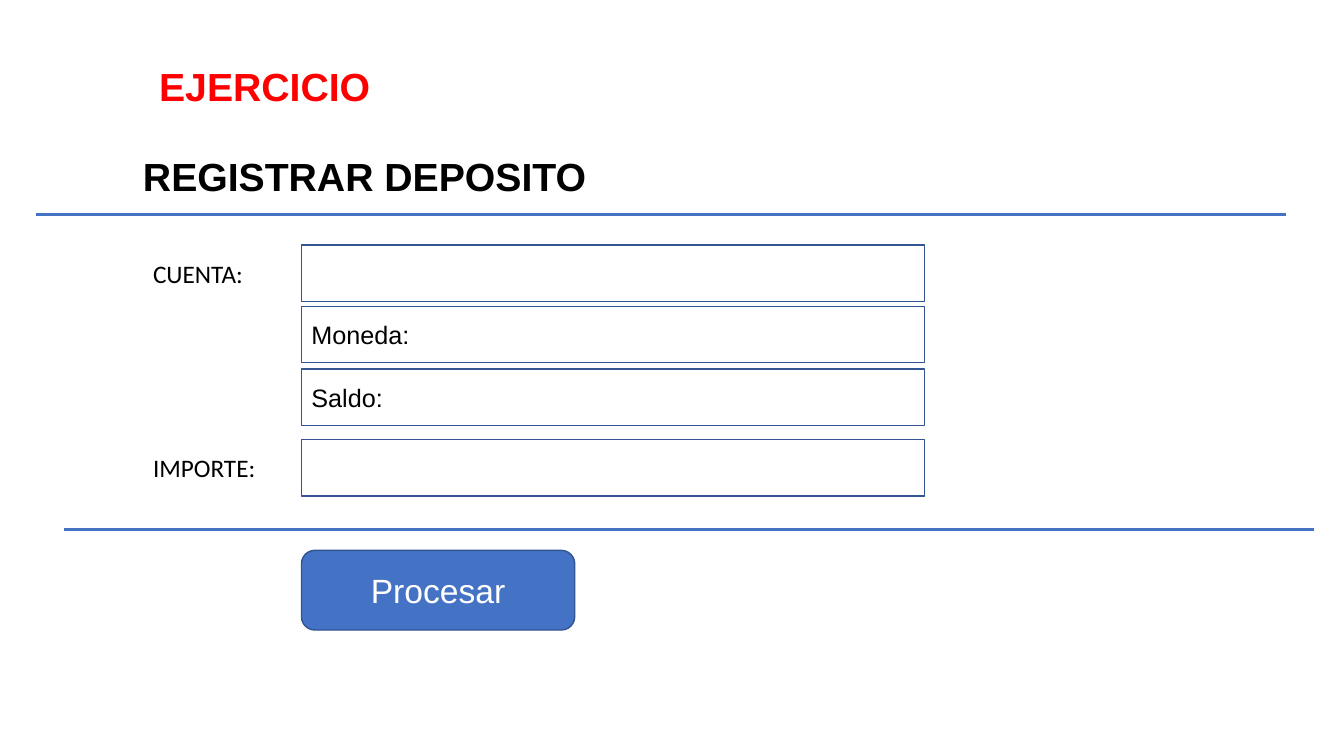
"""Build the deposit registration form slide."""
from dataclasses import dataclass

from lxml.etree import SubElement
from pptx import Presentation
from pptx.dml.color import RGBColor
from pptx.enum.shapes import MSO_CONNECTOR, MSO_SHAPE as Preset
from pptx.enum.text import MSO_ANCHOR as Anchor, MSO_AUTO_SIZE as AutoSize, PP_ALIGN as Align
from pptx.oxml.ns import qn
from pptx.slide import Slide
from pptx.text.text import TextFrame
from pptx.util import Inches, Pt

COLORS = {
    "black": "000000",
    "white": "FFFFFF",
    "red": "FF0000",
    "blue": "4472C4",
    "border": "325491",
}
FIELD_LEFT = 2.99


@dataclass
class Label:
    text: str
    left: float
    top: float
    width: float
    height: float
    size: int = 18
    font: str = "Calibri"
    color: str = "black"
    bold: bool = False
    wrap: bool = False


@dataclass
class Panel:
    text: str
    top: float
    width: float = 6.18
    height: float = 0.56
    preset: Preset = Preset.RECTANGLE
    fill: str = "white"
    color: str = "black"
    size: int = 18
    align: Align = Align.LEFT


@dataclass
class Divider:
    left: float
    right: float
    top: float


LABELS = [
    Label("EJERCICIO", 1.48, 0.57, 2.32, 0.57, 28, "Arial", "red", True),
    Label("REGISTRAR DEPOSITO", 1.32, 1.46, 7.76, 0.57, 28, "Arial", bold=True, wrap=True),
    Label("CUENTA:", 1.42, 2.51, 1.1, 0.4),
    Label("IMPORTE:", 1.42, 4.44, 1.23, 0.4),
]
PANELS = [
    Panel("", 2.43),
    Panel("Moneda: ", 3.04),
    Panel("Saldo: ", 3.66),
    Panel("", 4.36),
    Panel("Procesar", 5.46, 2.71, 0.79, Preset.ROUNDED_RECTANGLE, "blue", "white", 24, Align.CENTER),
]
DIVIDERS = [Divider(0.36, 12.75, 2.13), Divider(0.63, 13.03, 5.25)]


def rgb(name: str) -> RGBColor:
    return RGBColor.from_string(COLORS[name])


def write(frame: TextFrame, text: str, size: int, font: str, color: str,
          bold: bool = False, align: Align = Align.LEFT) -> None:
    para = frame.paragraphs[0]
    para.text = text
    para.alignment = align
    para.font.size = Pt(size)
    para.font.name = font
    para.font.bold = bold
    para.font.color.rgb = rgb(color)


def add_label(page: Slide, label: Label) -> None:
    box = page.shapes.add_textbox(
        Inches(label.left), Inches(label.top), Inches(label.width), Inches(label.height))
    frame = box.text_frame
    frame.word_wrap = label.wrap
    frame.auto_size = AutoSize.SHAPE_TO_FIT_TEXT
    write(frame, label.text, label.size, label.font, label.color, label.bold)


def add_panel(page: Slide, panel: Panel) -> None:
    box = page.shapes.add_shape(
        panel.preset, Inches(FIELD_LEFT), Inches(panel.top),
        Inches(panel.width), Inches(panel.height))
    box.shadow.inherit = False
    box.fill.solid()
    box.fill.fore_color.rgb = rgb(panel.fill)
    box.line.color.rgb = rgb("border")
    box.line.width = Pt(1)
    box.text_frame.vertical_anchor = Anchor.MIDDLE
    if panel.text:
        write(box.text_frame, panel.text, panel.size, "Arial", panel.color, align=panel.align)


def add_divider(page: Slide, divider: Divider) -> None:
    line = page.shapes.add_connector(
        MSO_CONNECTOR.STRAIGHT, Inches(divider.left), Inches(divider.top),
        Inches(divider.right), Inches(divider.top))
    line.line.color.rgb = rgb("blue")
    line.line.width = Pt(2.25)
    SubElement(line._element.spPr, qn("a:effectLst"))


def main() -> None:
    deck = Presentation()
    deck.slide_width, deck.slide_height = Inches(13.33), Inches(7.5)
    page = deck.slides.add_slide(deck.slide_layouts[6])
    for label in LABELS:
        add_label(page, label)
    for panel in PANELS:
        add_panel(page, panel)
    for divider in DIVIDERS:
        add_divider(page, divider)
    deck.save("out.pptx")


main()
